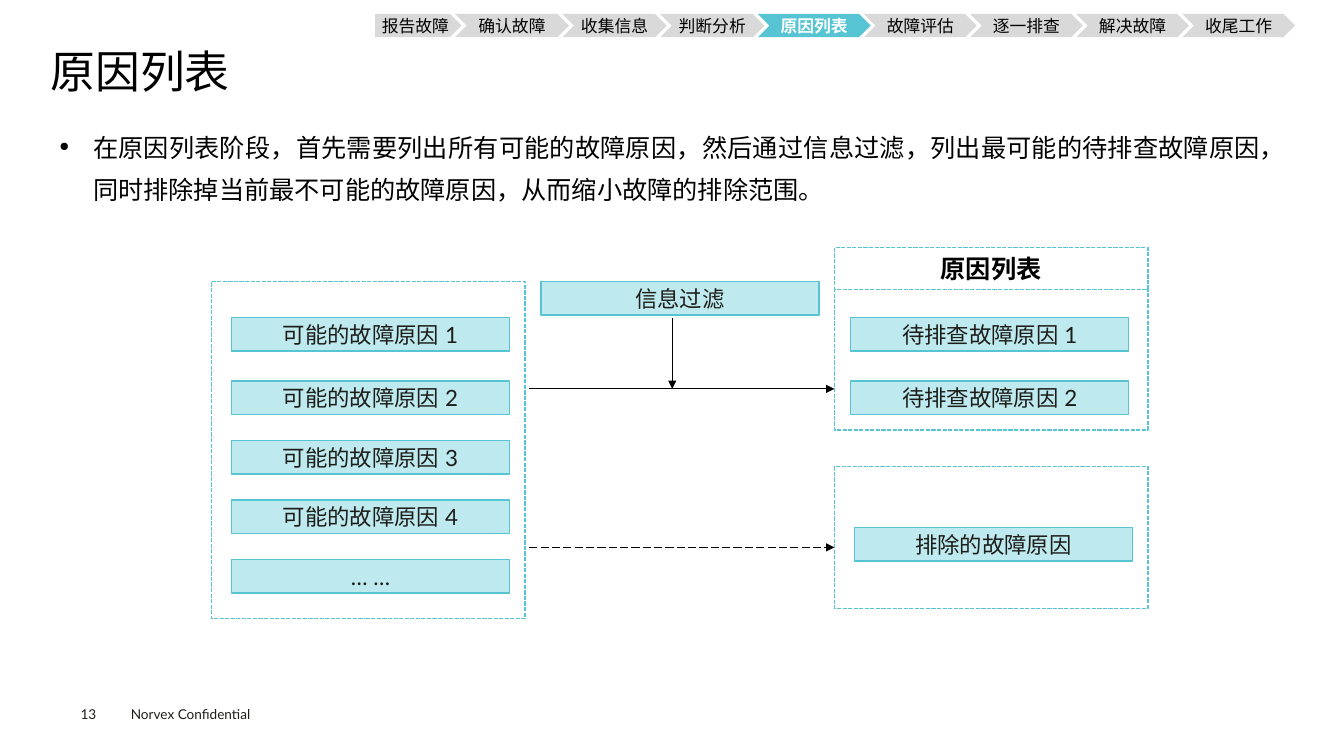
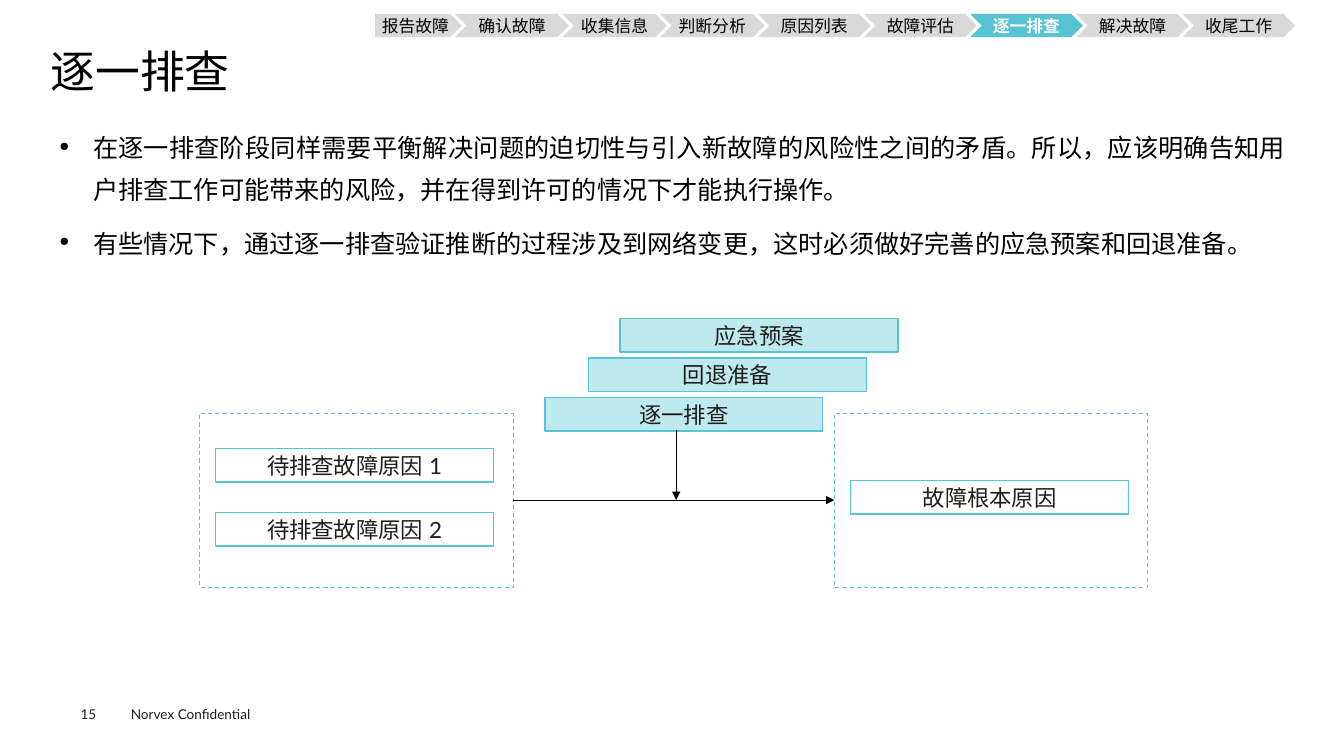
from dataclasses import dataclass
from itertools import accumulate
from typing import Optional

from lxml.etree import SubElement
from pptx import Presentation
from pptx.dml.color import RGBColor
from pptx.enum.dml import MSO_LINE
from pptx.enum.shapes import MSO_CONNECTOR, MSO_SHAPE
from pptx.enum.text import MSO_ANCHOR, PP_ALIGN
from pptx.oxml.ns import qn
from pptx.slide import Slide
from pptx.text.text import TextFrame, _Paragraph
from pptx.util import Pt

BLACK = RGBColor(0x00, 0x00, 0x00)
WHITE = RGBColor(0xFF, 0xFF, 0xFF)
INK = RGBColor(0x1D, 0x1D, 0x1A)
TEAL = RGBColor(0x56, 0xC4, 0xD2)
PALE_TEAL = RGBColor(0xBE, 0xE9, 0xEE)
GRAY = RGBColor(0xD9, 0xD9, 0xD9)

FONT = "Lato"
FOOTER = "Norvex Confidential"
STEP_LABELS = ["报告故障", "确认故障", "收集信息", "判断分析", "原因列表",
               "故障评估", "逐一排查", "解决故障", "收尾工作"]
STEP_PITCHES = [57, 76.7, 69.8, 69.8] + [75.8] * 5
STEP_LEFT, STEP_TOP, STEP_HEIGHT, STEP_OVERLAP = 268, 10, 16.6, 4.8
TAG_WIDTH, TAG_HEIGHT = 198.5, 24
PANEL_WIDTH = 224
RIGHT_PANEL, RIGHT_TAG = 596, 607.7


@dataclass
class Box:
    left: float
    top: float
    width: float
    height: float
    text: str = ""
    fill: Optional[RGBColor] = None
    line: Optional[RGBColor] = TEAL
    line_width: float = 1
    dash: Optional[MSO_LINE] = None
    size: float = 16
    color: RGBColor = INK
    bold: bool = False
    preset: MSO_SHAPE = MSO_SHAPE.RECTANGLE


@dataclass
class Arrow:
    start_x: float
    start_y: float
    end_x: float
    end_y: float
    dash: Optional[MSO_LINE] = None


@dataclass
class Page:
    number: int
    title: str
    bullets: list[str]
    boxes: list[Box]
    arrows: list[Arrow]


def tag(left: float, top: float, text: str, fill: Optional[RGBColor] = PALE_TEAL) -> Box:
    return Box(left, top, TAG_WIDTH, TAG_HEIGHT, text, fill)


def style(paragraph: _Paragraph, size: float, color: RGBColor, bold: bool = False) -> None:
    font = paragraph.font
    font.size = Pt(size)
    font.bold = bold
    font.color.rgb = color
    font.name = FONT
    properties = paragraph._p.pPr.find(qn("a:defRPr"))
    SubElement(properties, qn("a:ea")).set("typeface", FONT)


def set_margins(frame: TextFrame, horizontal: float, vertical: float) -> None:
    frame.margin_left = frame.margin_right = Pt(horizontal)
    frame.margin_top = frame.margin_bottom = Pt(vertical)


def add_box(slide: Slide, box: Box) -> None:
    shape = slide.shapes.add_shape(
        box.preset, Pt(box.left), Pt(box.top), Pt(box.width), Pt(box.height))
    shape.shadow.inherit = False
    if box.fill is None:
        shape.fill.background()
    else:
        shape.fill.solid()
        shape.fill.fore_color.rgb = box.fill
    if box.line is None:
        shape.line.fill.background()
    else:
        shape.line.color.rgb = box.line
        shape.line.width = Pt(box.line_width)
        if box.dash is not None:
            shape.line.dash_style = box.dash
    if box.text:
        frame = shape.text_frame
        set_margins(frame, 0, 0)
        frame.vertical_anchor = MSO_ANCHOR.MIDDLE
        paragraph = frame.paragraphs[0]
        paragraph.text = box.text
        paragraph.alignment = PP_ALIGN.CENTER
        style(paragraph, box.size, box.color, box.bold)


def add_arrow(slide: Slide, arrow: Arrow) -> None:
    connector = slide.shapes.add_connector(
        MSO_CONNECTOR.STRAIGHT, Pt(arrow.start_x), Pt(arrow.start_y),
        Pt(arrow.end_x), Pt(arrow.end_y))
    connector.line.color.rgb = BLACK
    connector.line.width = Pt(0.75)
    if arrow.dash is not None:
        connector.line.dash_style = arrow.dash
    SubElement(connector.line._get_or_add_ln(), qn("a:tailEnd")).set("type", "triangle")
    SubElement(connector._element.spPr, qn("a:effectLst"))


def add_text(slide: Slide, left: float, top: float, width: float, height: float,
             text: str, size: float, color: RGBColor,
             margins: tuple[float, float] = (0, 0), spacing: float = 1) -> None:
    frame = slide.shapes.add_textbox(Pt(left), Pt(top), Pt(width), Pt(height)).text_frame
    frame.word_wrap = True
    set_margins(frame, *margins)
    paragraph = frame.paragraphs[0]
    paragraph.text = text
    paragraph.line_spacing = spacing
    style(paragraph, size, color)


def add_bullets(slide: Slide, bullets: list[str]) -> None:
    frame = slide.shapes.add_textbox(Pt(36), Pt(82.8), Pt(889.2), Pt(384.5)).text_frame
    frame.word_wrap = True
    set_margins(frame, 6.5, 3)
    for index, text in enumerate(bullets):
        paragraph = frame.add_paragraph() if index else frame.paragraphs[0]
        paragraph.text = text
        paragraph.alignment = PP_ALIGN.JUSTIFY
        paragraph.line_spacing = 1.4
        if index:
            paragraph.space_before = Pt(7.9)
        properties = paragraph._p.get_or_add_pPr()
        properties.set("marL", str(Pt(24)))
        properties.set("indent", str(-Pt(24)))
        SubElement(properties, qn("a:buSzPct")).set("val", "50000")
        SubElement(properties, qn("a:buChar")).set("char", "●")
        style(paragraph, 18, BLACK)


def add_steps(slide: Slide, current: str) -> None:
    lefts = accumulate(STEP_PITCHES, initial=STEP_LEFT)
    for index, (left, pitch, label) in enumerate(zip(lefts, STEP_PITCHES, STEP_LABELS)):
        active = label == current
        add_box(slide, Box(
            left, STEP_TOP, pitch + STEP_OVERLAP, STEP_HEIGHT, label,
            fill=TEAL if active else GRAY, line=None, size=12,
            color=WHITE if active else BLACK, bold=active,
            preset=MSO_SHAPE.CHEVRON if index else MSO_SHAPE.PENTAGON))


def add_page(presentation: Presentation, page: Page) -> None:
    slide = presentation.slides.add_slide(presentation.slide_layouts[6])
    add_text(slide, 86.4, 500.4, 115.2, 19.4, FOOTER, 9.7, INK, margins=(7.2, 3.6))
    add_text(slide, 57.6, 504, 39.6, 11.5, str(page.number), 9.7, INK)
    add_text(slide, 36, 35.3, 889.2, 38.2, page.title, 32, BLACK, spacing=0.9)
    add_bullets(slide, page.bullets)
    for box in page.boxes:
        add_box(slide, box)
    for arrow in page.arrows:
        add_arrow(slide, arrow)
    add_steps(slide, page.title)


def cause_list_page() -> Page:
    dash = MSO_LINE.SQUARE_DOT
    causes = [f"可能的故障原因 {number}" for number in range(1, 5)] + ["… …"]
    cause_tops = [226.8] + [272.2 + 42.5 * row for row in range(4)]
    return Page(
        13, "原因列表",
        ["在原因列表阶段，首先需要列出所有可能的故障原因，然后通过信息过滤，"
         "列出最可能的待排查故障原因，同时排除掉当前最不可能的故障原因，从而缩小故障的排除范围。"],
        [
            Box(RIGHT_PANEL, 333.3, PANEL_WIDTH, 101.2, dash=dash),
            Box(RIGHT_PANEL, 206, PANEL_WIDTH, 101.2, dash=dash),
            Box(151, 201, PANEL_WIDTH, 241, dash=dash),
            Box(RIGHT_PANEL, 177, PANEL_WIDTH, 30, "原因列表", WHITE,
                dash=dash, size=18, color=BLACK, bold=True),
            *[tag(165.4, top, text) for top, text in zip(cause_tops, causes)],
            *[tag(RIGHT_TAG, top, f"待排查故障原因 {number}")
              for number, top in enumerate(cause_tops[:2], 1)],
            tag(386.4, 201, "信息过滤"),
            tag(610.4, 376.6, "排除的故障原因"),
        ],
        [
            Arrow(378, 277.8, RIGHT_PANEL, 277.8),
            Arrow(480.2, 226.8, 480.2, 277.8),
            Arrow(378, 391, RIGHT_PANEL, 391, MSO_LINE.LONG_DASH),
        ])


def check_one_by_one_page() -> Page:
    stack = [(389.2, "逐一排查"), (420.4, "回退准备"), (443, "应急预案")]
    return Page(
        15, "逐一排查",
        ["在逐一排查阶段同样需要平衡解决问题的迫切性与引入新故障的风险性之间的矛盾。"
         "所以，应该明确告知用户排查工作可能带来的风险，并在得到许可的情况下才能执行操作。",
         "有些情况下，通过逐一排查验证推断的过程涉及到网络变更，"
         "这时必须做好完善的应急预案和回退准备。"],
        [
            *[Box(left, 295.2, PANEL_WIDTH, 124.5, line_width=0.75, dash=MSO_LINE.DASH)
              for left in (142.6, RIGHT_PANEL)],
            *[tag(154, 320.4 + 45.5 * row, f"待排查故障原因 {row + 1}", None)
              for row in range(2)],
            tag(RIGHT_TAG, 343.2, "故障根本原因", None),
            *[tag(left, 283.8 - 28.2 * level, text)
              for level, (left, text) in enumerate(stack)],
        ],
        [
            Arrow(366.6, 357.2, RIGHT_PANEL, 357.2),
            Arrow(483, 306.8, 483, 357.2),
        ])


def main() -> None:
    presentation = Presentation()
    presentation.slide_width = Pt(960)
    presentation.slide_height = Pt(540)
    for page in (cause_list_page(), check_one_by_one_page()):
        add_page(presentation, page)
    presentation.save("out.pptx")


if __name__ == "__main__":
    main()
